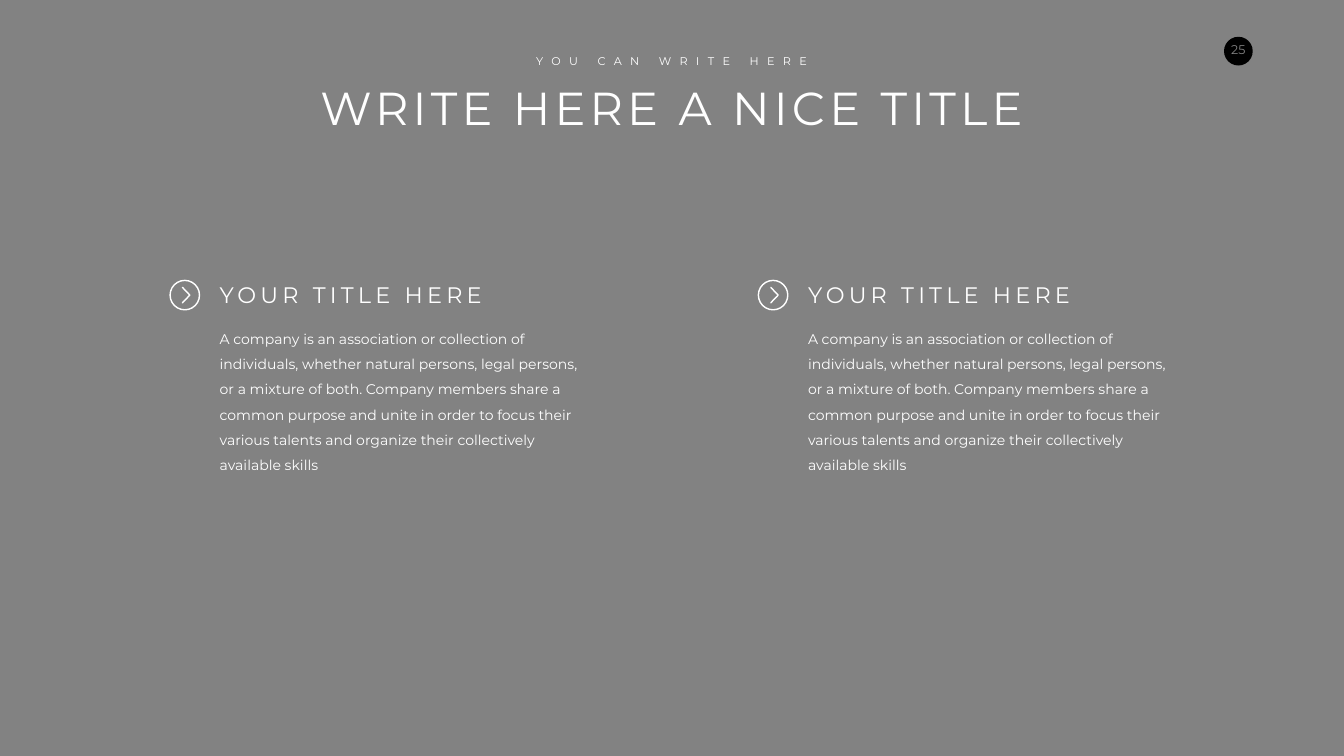
from pptx import Presentation
from pptx.dml.color import RGBColor
from pptx.enum.shapes import MSO_SHAPE
from pptx.enum.text import MSO_ANCHOR, MSO_AUTO_SIZE, PP_ALIGN
from pptx.oxml.ns import qn
from pptx.util import Pt
from lxml import etree

OVAL, RECTANGLE = MSO_SHAPE.OVAL, MSO_SHAPE.RECTANGLE
TOP, GROW = MSO_ANCHOR.TOP, MSO_AUTO_SIZE.SHAPE_TO_FIT_TEXT
LEFT, CENTER = PP_ALIGN.LEFT, PP_ALIGN.CENTER

COLORS = {"black": "000000", "white": "FFFFFF"}
FONT = "Montserrat"
WIDTH, HEIGHT = 1919.52, 1080
TITLE_ONLY = 5

COLUMN_LEFT, COLUMN_STEP, COLUMN_COUNT = 241.92, 840.24, 2
HEADING = "YOUR TITLE HERE"
DESCRIPTION = (
    "A company is an association or collection of individuals, whether natural "
    "persons, legal persons, or a mixture of both. Company members share a common "
    "purpose and unite in order to focus their various talents and organize their "
    "collectively available skills"
)


def color(name):
    return RGBColor.from_string(COLORS[name])


def write(box, text, size, align=LEFT, tracking=0, wrap=True, leading=None,
          margins=(7.2, 3.6)):
    frame = box.text_frame
    frame.word_wrap = wrap
    frame.auto_size = GROW
    frame.vertical_anchor = TOP
    frame.margin_left = frame.margin_right = Pt(margins[0])
    frame.margin_top = frame.margin_bottom = Pt(margins[1])
    paragraph = frame.paragraphs[0]
    paragraph.alignment = align
    if leading:
        paragraph.line_spacing = leading
    run = paragraph.add_run()
    run.text = text
    run.font.name = FONT
    run.font.size = Pt(size)
    run.font.color.rgb = color("white")
    if tracking:
        run.font._element.set("spc", str(tracking * 100))


def add_text(slide, left, top, width, height, text, size, **style):
    box = slide.shapes.add_textbox(Pt(left), Pt(top), Pt(width), Pt(height))
    write(box, text, size, **style)


def add_filled(slide, preset, left, top, width, height, opacity=100):
    shape = slide.shapes.add_shape(preset, Pt(left), Pt(top), Pt(width), Pt(height))
    shape.shadow.inherit = False
    shape.fill.solid()
    shape.fill.fore_color.rgb = color("black")
    shape.line.fill.background()
    if opacity < 100:
        tint = shape.fill._xPr.find(f"{qn('a:solidFill')}/{qn('a:srgbClr')}")
        etree.SubElement(tint, qn("a:alpha"), val=str(opacity * 1000))


def outline(shape):
    shape.shadow.inherit = False
    shape.fill.background()
    shape.line.color.rgb = color("white")
    shape.line.width = Pt(2)


def add_arrow_icon(slide, left, top):
    outline(slide.shapes.add_shape(OVAL, Pt(left + 1), Pt(top + 1), Pt(42), Pt(42)))
    chevron = slide.shapes.build_freeform(Pt(left + 18.7), Pt(top + 11))
    chevron.add_line_segments(
        [(Pt(left + 29.2), Pt(top + 22)), (Pt(left + 18.7), Pt(top + 33))], close=False)
    arrow = chevron.convert_to_shape()
    outline(arrow)
    arrow.line._get_or_add_ln().set("cap", "rnd")


def add_column(slide, left):
    text_left = left + 64.8
    add_text(slide, text_left, 456.48, 542.16, 225.36, DESCRIPTION, 20, leading=1.5)
    add_text(slide, text_left, 398.16, 393.84, 46.08, HEADING, 32,
             tracking=6, wrap=False)
    add_arrow_icon(slide, left, 399.6)


def add_page_number(slide):
    add_filled(slide, OVAL, 1748.16, 52.56, 41.04, 41.04)
    add_text(slide, 1737.7, 52.56, 61.92, 36.72, "25", 18, align=CENTER,
             wrap=False, margins=(14.4, 7.2))


def place_title(slide):
    title = slide.shapes.title
    title.left, title.top = Pt(450), Pt(109.44)
    title.width, title.height = Pt(1019.52), Pt(87.12)
    write(title, "WRITE HERE A NICE TITLE", 66, align=CENTER, tracking=6, wrap=False)
    slide.shapes.element.append(title.element)


def main():
    deck = Presentation()
    deck.slide_width, deck.slide_height = Pt(WIDTH), Pt(HEIGHT)
    slide = deck.slides.add_slide(deck.slide_layouts[TITLE_ONLY])
    add_page_number(slide)
    add_filled(slide, RECTANGLE, 0, 0, WIDTH, HEIGHT, opacity=49)
    for column in range(COLUMN_COUNT):
        add_column(slide, COLUMN_LEFT + column * COLUMN_STEP)
    place_title(slide)
    add_text(slide, 712.8, 73.44, 493.2, 26.64, "YOU CAN WRITE HERE", 16,
             align=CENTER, tracking=12)
    deck.save("out.pptx")


if __name__ == "__main__":
    main()
